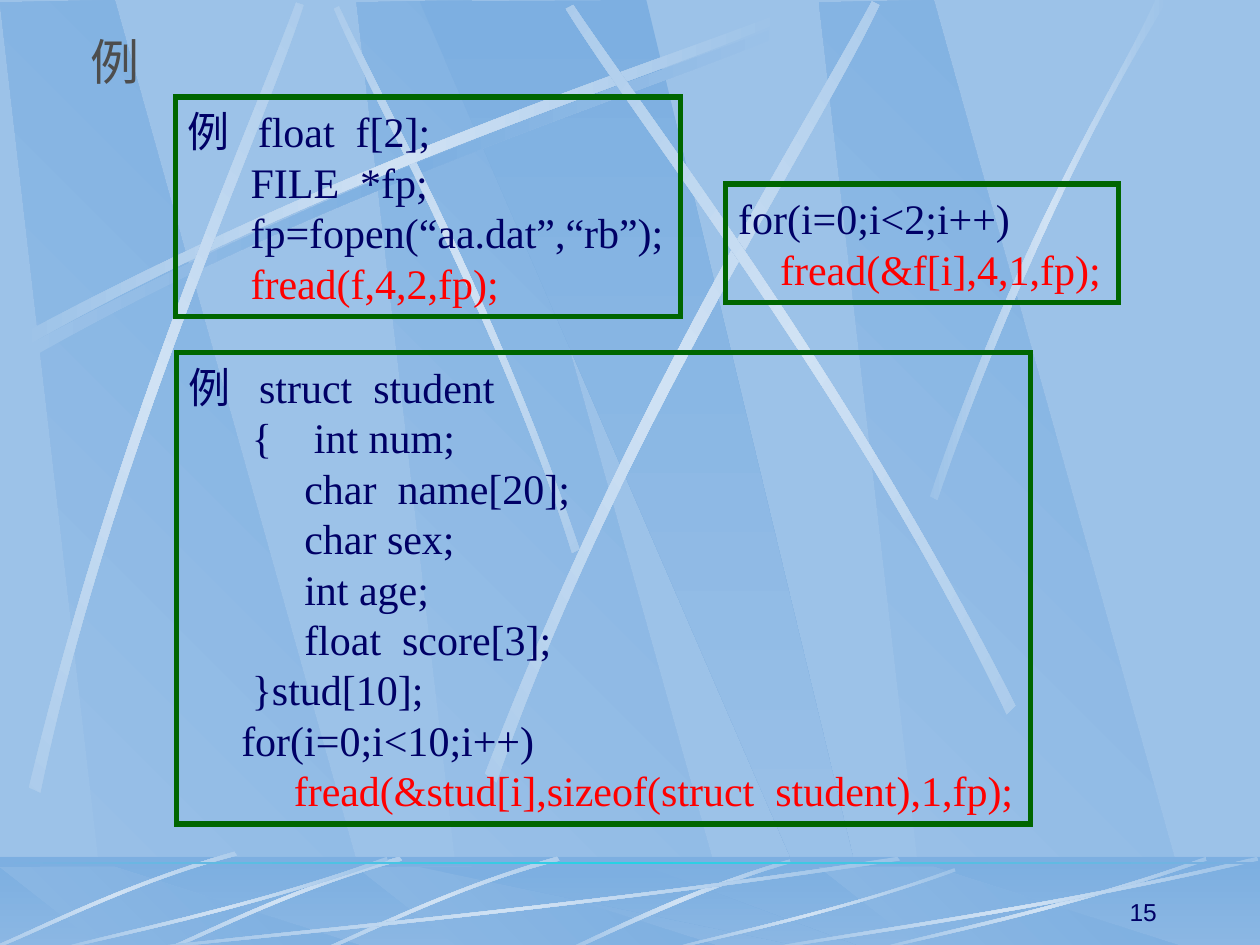
from math import cos, radians, sin

from pptx import Presentation
from pptx.dml.color import RGBColor
from pptx.enum.shapes import MSO_SHAPE as SHAPE
from pptx.enum.text import MSO_ANCHOR as ANCHOR, PP_ALIGN as ALIGN
from pptx.oxml import parse_xml
from pptx.oxml.ns import nsdecls, qn
from pptx.util import Inches, Pt

COLORS = {
    "sky": "9CC2E8", "blue": "7DAFE1", "glow": "D0E2F4", "cyan": "26D2E4",
    "green": "006600", "navy": "000066", "red": "FF0000", "gray": "4D4D4D",
}
SKY_TO_BLUE = ("sky", "blue")
BLUE_TO_SKY = ("blue", "sky")
GLOW = ("sky", "glow", "sky")
SHADE = ("sky", "blue", "sky")
SPACE = 1 / 12  # width of one code column in inches

# Outlines of the slanted panels: top left corner at 0, 0
PANEL = [(0.86, 7.5), (3.02, 7.52), (0.91, 0), (0, 0.02)]
WIDE_PANEL = [(3.33, 0.01), (6.58, 7.51), (6.94, 7.51), (5.13, 0)]
PANEL_LEFTS = (2.83, 0, 6.5)

# Streaks: a curve of four points out and another one back
LONG_STREAK = [(0.14, 2.67), (2.78, 1.25), (5.18, 0.51), (6.2, 0.1),
               (6.23, 0.16), (5.22, 0.61), (2.48, 1.43), (0.17, 2.77)]
SHORT_STREAK = [(4.6, 4.36), (3.91, 2.34), (3.02, 0.77), (2.69, 0.05),
                (2.65, 0.07), (2.95, 0.79), (3.98, 2.58), (4.54, 4.39)]
SKY_STREAKS = [  # rotation, points
    (311.7, [(0.23, 6.25), (0.93, 3.34), (1.97, 1.05), (2.35, 0.02),
             (2.41, 0.04), (2.07, 1.09), (0.86, 3.68), (0.32, 6.29)]),
    (321.6, [(3.85, 6.14), (4.98, 3.2), (6.38, 1.02), (6.92, 0.01),
             (6.98, 0.04), (6.49, 1.08), (4.86, 3.55), (3.94, 6.21)]),
    (34.7, [(8.06, 5.6), (6.7, 2.93), (5.16, 0.95), (4.55, 0.04),
            (4.49, 0.07), (5.07, 1.01), (6.85, 3.25), (7.99, 5.67)]),
    (0, [(7.38, 3.94), (8.14, 1.73), (8.88, 0.66), (9.17, 0),
         (9.27, 0), (8.36, 1.45), (7.69, 3.22), (7.44, 3.97)]),
]
FLOOR_ARC = [(6.27, 6.82), (5.37, 7.09), (4.77, 7.42), (4.48, 7.54),
             (4.53, 7.55), (4.9, 7.38), (5.71, 7), (6.28, 6.85)]
FLOOR_STREAK = [(4.42, 6.8), (3.55, 7.05), (2.87, 7.4), (2.56, 7.53),
                (2.57, 7.55), (2.88, 7.43), (3.65, 7.03), (4.44, 6.83)]
FLOOR_SWEEP = [(2.66, 0.03), (1.51, 0.43), (0.46, 0.64), (0.01, 0.75),
               (0, 0.74), (0.44, 0.61), (1.64, 0.38), (2.65, 0)]
SWEEPS = [  # left, top, horizontal scale, vertical scale
    (1, 6.8, 2.31, 1), (0.42, 6.8, 1, 1), (5.27, 6.89, 0.87, 0.88),
    (6.92, 6.8, 1, 1), (6, 6.8, 1.5, 1),
]

# Code boxes: place, then lines of columns, text and colour
CODE_BOXES = [
    ((1.39, 0.77, 4.01, 1.74), [
        (0, "例   float  f[2];", "navy"),
        (6, "FILE  *fp;", "navy"),
        (6, "fp=fopen(“aa.dat”,“rb”);", "navy"),
        (6, "fread(f,4,2,fp);", "red")]),
    ((5.76, 1.46, 3.12, 0.94), [
        (0, "for(i=0;i<2;i++)", "navy"),
        (4, "fread(&f[i],4,1,fp);", "red")]),
    ((1.4, 2.8, 6.78, 3.74), [
        (0, "例   struct  student", "navy"),
        (6, "{    int num;", "navy"),
        (11, "char  name[20];", "navy"),
        (11, "char sex;", "navy"),
        (11, "int age;", "navy"),
        (11, "float  score[3];", "navy"),
        (6, "}stud[10];", "navy"),
        (5, "for(i=0;i<10;i++)", "navy"),
        (10, "fread(&stud[i],sizeof(struct  student),1,fp);", "red")]),
]


def rgb(name):
    return RGBColor.from_string(COLORS[name])


def place(points, dx=0, dy=0, sx=1, sy=1):
    return [(x * sx + dx, y * sy + dy) for x, y in points]


def turn(points, angle):
    c, s = cos(radians(angle)), sin(radians(angle))
    return [(x * c - y * s, x * s + y * c) for x, y in points]


def unrotate(points, angle):
    """Points that, turned about the middle of their box, land on the given ones."""
    flat = turn(points, -angle)
    middle = tuple((min(axis) + max(axis)) / 2 for axis in zip(*flat))
    (x, y), = turn([middle], angle)
    return place(flat, x - middle[0], y - middle[1])


def fill_gradient(sp, names, angle):
    sp.shadow.inherit = False
    sp.line.fill.background()
    sp.fill.background()
    stops = "".join(
        f'<a:gs pos="{100000 * i // (len(names) - 1)}"><a:srgbClr val="{COLORS[name]}"/></a:gs>'
        for i, name in enumerate(names))
    gradient = parse_xml(f'<a:gradFill {nsdecls("a")} rotWithShape="1"><a:gsLst>{stops}</a:gsLst>'
                         f'<a:lin ang="{angle * 60000}" scaled="0"/></a:gradFill>')
    props = sp.element.spPr
    props.replace(props.find(qn("a:noFill")), gradient)


def add_outline(slide, points, names, angle):
    (x, y), *rest = [(Inches(px), Inches(py)) for px, py in points]
    builder = slide.shapes.build_freeform(x, y)
    builder.add_line_segments(rest, close=True)
    sp = builder.convert_to_shape()
    fill_gradient(sp, names, angle)
    return sp


def add_streak(slide, points, names=GLOW, rotation=0):
    sp = add_outline(slide, unrotate(points, rotation), names, 0)
    sp.rotation = rotation
    # Bend the two long sides: three segments become one curve
    segments = list(sp.element.spPr.iter(qn("a:lnTo")))
    for side in (segments[:3], segments[4:7]):
        curve = parse_xml(f'<a:cubicBezTo {nsdecls("a")}/>')
        side[0].addprevious(curve)
        for segment in side:
            curve.append(segment[0])
            segment.getparent().remove(segment)


def add_rect(slide, left, top, width, height):
    sp = slide.shapes.add_shape(SHAPE.RECTANGLE, *map(Inches, (left, top, width, height)))
    sp.shadow.inherit = False
    return sp


def add_panels(slide, top=0, scale=1):
    for left in PANEL_LEFTS:
        add_outline(slide, place(PANEL, left, top, 1, scale), SKY_TO_BLUE, 315)
    add_outline(slide, place(WIDE_PANEL, 0, top, 1, scale), BLUE_TO_SKY, 90)


def add_sky(slide):
    add_panels(slide)
    add_streak(slide, place(LONG_STREAK, 0.06, 0.08), SHADE)
    add_streak(slide, SHORT_STREAK, rotation=45)
    add_streak(slide, LONG_STREAK)
    for rotation, points in SKY_STREAKS:
        add_streak(slide, points, rotation=rotation)


def add_floor(slide):
    fill_gradient(add_rect(slide, 0, 6.8, 10, 0.75), BLUE_TO_SKY, 90)
    add_panels(slide, 6.88, 0.09)
    veil = add_rect(slide, 0, 6.8, 10, 0.75)
    veil.line.fill.background()
    veil.fill.solid()
    veil.fill.fore_color.rgb = rgb("blue")
    color = veil.element.spPr.find(qn("a:solidFill"))[0]
    color.append(parse_xml(f'<a:alpha {nsdecls("a")} val="50000"/>'))
    add_streak(slide, FLOOR_ARC)
    for dx, dy in ((0, 0), (-1.25, 0), (-2.56, -0.04)):
        add_streak(slide, place(FLOOR_STREAK, dx, dy), rotation=315)
    for sweep in SWEEPS:
        add_streak(slide, place(FLOOR_SWEEP, *sweep))
    fill_gradient(add_rect(slide, 0, 6.84, 10, 0.02), ("blue", "cyan", "blue"), 0)


def set_font(p, name, size, color):
    p.font.name, p.font.size, p.font.color.rgb = name, Pt(size), rgb(color)


def add_code_box(slide, box, lines):
    sp = add_rect(slide, *box)
    sp.fill.background()
    sp.line.color.rgb, sp.line.width = rgb("green"), Pt(3)
    sp.element.spPr.find(qn("a:ln")).append(parse_xml(f'<a:miter {nsdecls("a")} lim="800000"/>'))
    tf = sp.text_frame
    tf.word_wrap, tf.vertical_anchor = True, ANCHOR.MIDDLE
    tf.margin_right = 0
    for i, (columns, text, color) in enumerate(lines):
        p = tf.add_paragraph() if i else tf.paragraphs[0]
        p.text, p.alignment, p.line_spacing = text, ALIGN.LEFT, Pt(28.8)
        set_font(p, "Times New Roman", 24, color)
        props = p._p.get_or_add_pPr()
        props.set("marL", str(Inches(columns * SPACE)))
        props.set("indent", "0")


def add_title(slide, text):
    title = slide.shapes.title
    title.left, title.top, title.width, title.height = map(Inches, (0.04, 0.2, 1.74, 0.57))
    tf = title.text_frame
    tf.text, tf.vertical_anchor = text, ANCHOR.MIDDLE
    tf.paragraphs[0].alignment = ALIGN.CENTER
    set_font(tf.paragraphs[0], "Montserrat", 28, "gray")
    title.element.getparent().append(title.element)  # bring to front


def add_page_number(slide, text):
    tf = slide.shapes.add_textbox(*map(Inches, (7.2, 6.9, 2.08, 0.5))).text_frame
    tf.word_wrap, tf.vertical_anchor = True, ANCHOR.BOTTOM
    p = tf.paragraphs[0]
    p.text, p.alignment = text, ALIGN.RIGHT
    set_font(p, "Arial", 14, "navy")


def main():
    prs = Presentation()
    prs.slide_width, prs.slide_height = Inches(10), Inches(7.5)
    slide = prs.slides.add_slide(prs.slide_layouts[5])
    slide.background.fill.solid()
    slide.background.fill.fore_color.rgb = rgb("sky")
    add_sky(slide)
    add_floor(slide)
    for box, lines in CODE_BOXES:
        add_code_box(slide, box, lines)
    add_title(slide, "例")
    add_page_number(slide, "15")
    prs.save("out.pptx")


main()
